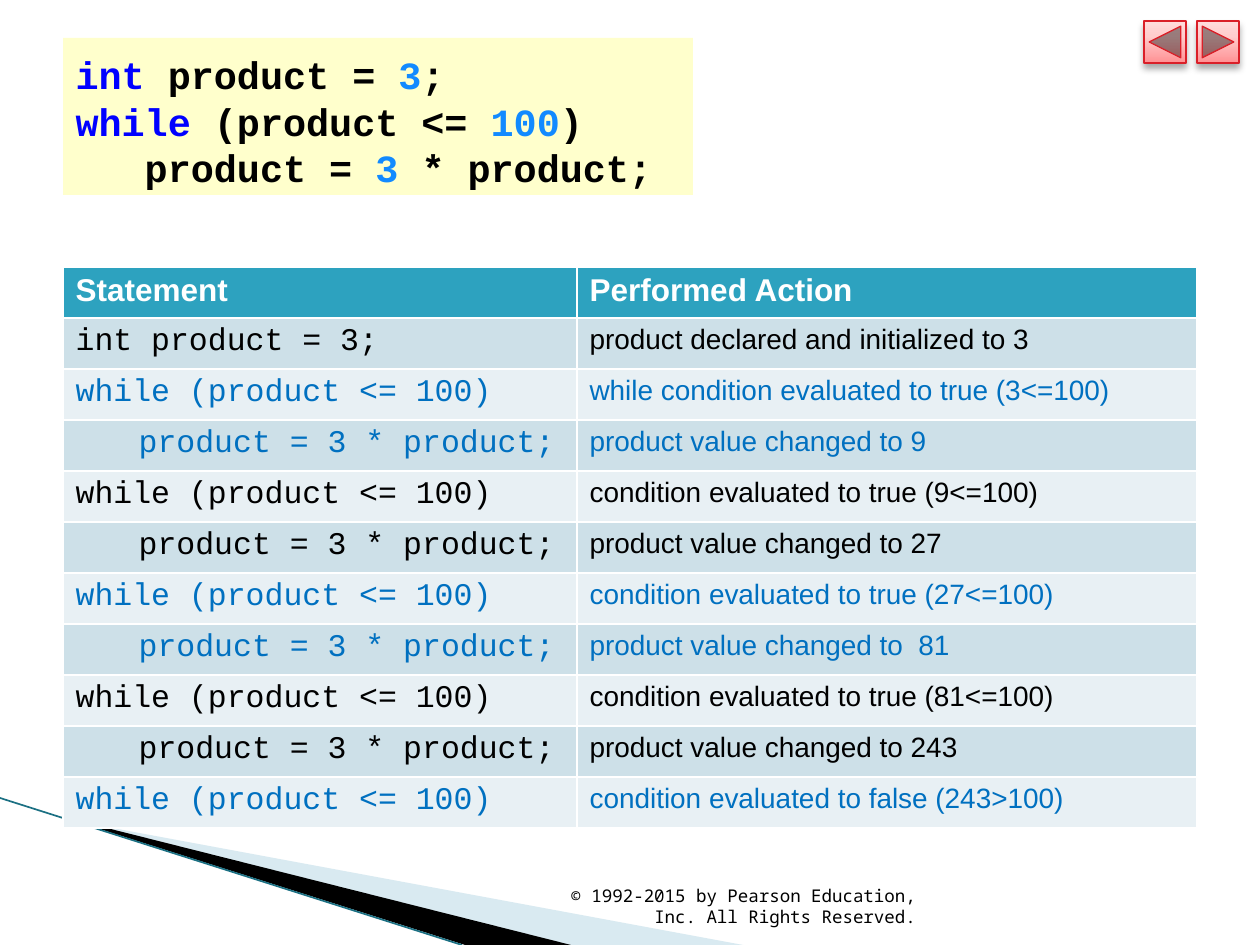
"""Builds a slide that traces a while loop statement by statement."""
from copy import deepcopy

from lxml import etree
from pptx import Presentation
from pptx.dml.color import RGBColor
from pptx.enum.shapes import MSO_CONNECTOR, MSO_SHAPE
from pptx.enum.text import MSO_ANCHOR, MSO_AUTO_SIZE, PP_ALIGN
from pptx.oxml import parse_xml
from pptx.oxml.ns import nsdecls, qn
from pptx.util import Pt

BACK = MSO_SHAPE.ACTION_BUTTON_BACK_OR_PREVIOUS
FORWARD = MSO_SHAPE.ACTION_BUTTON_FORWARD_OR_NEXT
STRAIGHT = MSO_CONNECTOR.STRAIGHT
MIDDLE, BOTTOM = MSO_ANCHOR.MIDDLE, MSO_ANCHOR.BOTTOM
LEFT, RIGHT = PP_ALIGN.LEFT, PP_ALIGN.RIGHT
NO_AUTOFIT = MSO_AUTO_SIZE.NONE

BLACK = RGBColor(0x00, 0x00, 0x00)
WHITE = RGBColor(0xFF, 0xFF, 0xFF)
KEYWORD = RGBColor(0x00, 0x00, 0xFF)
NUMBER = RGBColor(0x12, 0x8A, 0xFF)
STEP_BLUE = RGBColor(0x00, 0x70, 0xC0)
CODE_YELLOW = RGBColor(0xFF, 0xFF, 0xCC)
HEADER_TEAL = RGBColor(0x2D, 0xA2, 0xBF)
BAND_DARK = RGBColor(0xCD, 0xE0, 0xE8)
BAND_LIGHT = RGBColor(0xE8, 0xF0, 0xF4)
WEDGE_BLUE = RGBColor(0xA0, 0xCB, 0xDC)
EDGE_TEAL = RGBColor(0x1B, 0x70, 0x83)
BUTTON_RED = RGBColor(0xDA, 0x1F, 0x28)
BUTTON_STOPS = (
    (0, RGBColor(0xFF, 0x92, 0x94)),
    (0.65, RGBColor(0xFF, 0xCD, 0xCD)),
    (1, RGBColor(0xFF, 0xDC, 0xDC)),
)

BODY_FONT, CODE_FONT, FOOTER_FONT = "Arial", "Courier New", "Noto Sans Mono"
SCALE = 914400 / 126

CODE = (
    (("int", KEYWORD), (" product = ", BLACK), ("3", NUMBER), (";", BLACK)),
    (("while", KEYWORD), (" (product <= ", BLACK), ("100", NUMBER), (")", BLACK)),
    (("   product = ", BLACK), ("3", NUMBER), (" * product;", BLACK)),
)
DECLARE = "int product = 3;"
TEST = "while (product <= 100)"
MULTIPLY = "product = 3 * product;"
TRACE = (
    (DECLARE, "product declared and initialized to 3", BLACK),
    (TEST, "while condition evaluated to true (3<=100)", STEP_BLUE),
    (MULTIPLY, "product value changed to 9", STEP_BLUE),
    (TEST, "condition evaluated to true (9<=100)", BLACK),
    (MULTIPLY, "product value changed to 27", BLACK),
    (TEST, "condition evaluated to true (27<=100)", STEP_BLUE),
    (MULTIPLY, "product value changed to  81", STEP_BLUE),
    (TEST, "condition evaluated to true (81<=100)", BLACK),
    (MULTIPLY, "product value changed to 243", BLACK),
    (TEST, "condition evaluated to false (243>100)", STEP_BLUE),
)


def px(*lengths):
    return [round(length * SCALE) for length in lengths]


class TraceSlide:
    def __init__(self, presentation):
        self.slide = presentation.slides.add_slide(presentation.slide_layouts[5])
        self.shapes = self.slide.shapes

    def style(self, font, name, size, color, bold=False):
        font.name, font.size, font.bold = name, Pt(size), bold
        font.color.rgb = color

    def wedge(self, points, color, opacity=100):
        builder = self.shapes.build_freeform(*points[0], scale=SCALE)
        builder.add_line_segments(points[1:])
        wedge = builder.convert_to_shape()
        wedge.shadow.inherit = False
        wedge.fill.solid()
        wedge.fill.fore_color.rgb = color
        wedge.line.fill.background()
        if opacity < 100:
            shade = wedge.element.spPr.find(qn("a:solidFill"))[0]
            etree.SubElement(shade, qn("a:alpha"), val=str(opacity * 1000))

    def edge(self, start, end, color, width):
        edge = self.shapes.add_connector(STRAIGHT, *px(*start, *end))
        edge.line.color.rgb = color
        edge.line.width = Pt(width)
        etree.SubElement(edge.element.spPr, qn("a:effectLst"))

    def button(self, kind, left, top, side):
        button = self.shapes.add_shape(kind, *px(left, top, side, side))
        button.line.color.rgb = BUTTON_RED
        button.line.width = Pt(0.75)
        button.fill.gradient()
        button.fill.gradient_angle = 90
        stop_list = button.element.spPr.find(".//" + qn("a:gsLst"))
        stop_list.append(deepcopy(stop_list[-1]))
        for stop, (position, color) in zip(button.fill.gradient_stops, BUTTON_STOPS):
            stop.position = position
            stop.color.rgb = color
        button.shadow.inherit = False
        button.element.spPr.find(qn("a:effectLst")).append(parse_xml(
            f'<a:outerShdw {nsdecls("a")} blurRad="50800" dist="38100" dir="5400000" '
            'rotWithShape="0"><a:srgbClr val="000000"><a:alpha val="35000"/>'
            '</a:srgbClr></a:outerShdw>'))

    def code_title(self, lines, left, top, width, height):
        title = self.shapes.title
        title.left, title.top, title.width, title.height = px(left, top, width, height)
        title.fill.solid()
        title.fill.fore_color.rgb = CODE_YELLOW
        frame = title.text_frame
        frame.auto_size = NO_AUTOFIT
        frame.word_wrap = True
        frame.vertical_anchor = MIDDLE
        frame.margin_top, frame.margin_bottom = px(8, 0)
        code = frame.paragraphs[0]
        code.alignment = LEFT
        code.line_spacing = Pt(26.6)
        for number, line in enumerate(lines):
            if number:
                code.add_line_break()
            for token, color in line:
                run = code.add_run()
                run.text = token
                self.style(run.font, CODE_FONT, 22, color, True)

    def footer(self, text, left, top, width, height):
        frame = self.shapes.add_textbox(*px(left, top, width, height)).text_frame
        frame.word_wrap = True
        frame.vertical_anchor = BOTTOM
        frame.text = text
        frame.paragraphs[0].alignment = RIGHT
        self.style(frame.paragraphs[0].runs[0].font, FOOTER_FONT, 10, BLACK)

    def cell(self, cell, text, fill, *font):
        cell.fill.solid()
        cell.fill.fore_color.rgb = fill
        paragraph = cell.text_frame.paragraphs[0]
        paragraph.text = text
        if text == MULTIPLY:
            paragraph.level = 1
            properties = paragraph.runs[0].font
            paragraph_format = cell.text_frame.paragraphs[0]._p.get_or_add_pPr()
            paragraph_format.set("marL", str(px(63)[0]))
            paragraph_format.set("indent", "0")
            self.style(properties, *font)
        else:
            self.style(paragraph.runs[0].font, *font)

    def trace_table(self, headings, steps, left, top, widths, row_height):
        rows = len(steps) + 1
        frame = self.shapes.add_table(rows, len(widths), *px(
            left, top, sum(widths), rows * row_height))
        table = frame.table
        for column, width in zip(table.columns, px(*widths)):
            column.width = width
        for row in table.rows:
            row.height = px(row_height)[0]
        for column, heading in enumerate(headings):
            self.cell(table.cell(0, column), heading, HEADER_TEAL,
                      BODY_FONT, 18, WHITE, True)
        for row, (statement, action, color) in enumerate(steps, 1):
            band = BAND_DARK if row % 2 else BAND_LIGHT
            self.cell(table.cell(row, 0), statement, band, CODE_FONT, 18, color)
            self.cell(table.cell(row, 1), action, band, BODY_FONT, 16, color)


def main():
    presentation = Presentation()
    presentation.slide_width, presentation.slide_height = px(1260, 945)
    page = TraceSlide(presentation)
    page.wedge(((69, 820), (743, 945), (570, 945), (69, 819)), WEDGE_BLUE, 40)
    page.wedge(((67, 818), (571, 945), (465, 945), (68, 819)), BLACK)
    page.edge((0, 798), (462, 945), EDGE_TEAL, 0.95)
    for position, kind in enumerate((BACK, FORWARD)):
        page.button(kind, 1144 + 53 * position, 21, 42)
    page.code_title(CODE, 63, 38, 630, 157)
    page.footer("© 1992-2015 by Pearson Education, Inc. All Rights Reserved.",
                546, 883, 382, 50)
    page.trace_table(("Statement", "Performed Action"), TRACE,
                     63, 267, (514, 620), 51)
    presentation.save("out.pptx")


if __name__ == "__main__":
    main()
